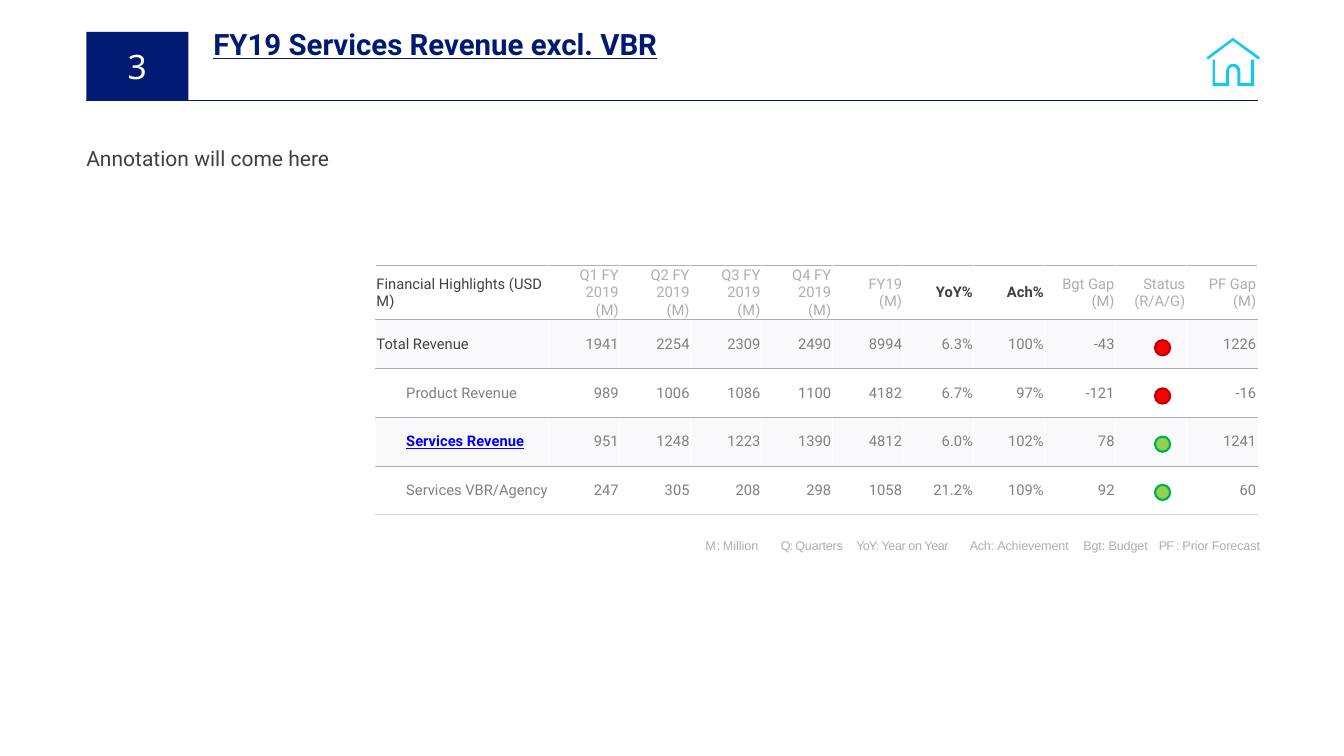
from lxml.etree import SubElement
from pptx import Presentation
from pptx.dml.color import RGBColor
from pptx.enum.shapes import MSO_CONNECTOR as Connector, MSO_SHAPE as Shape
from pptx.enum.text import MSO_ANCHOR as Anchor, MSO_AUTO_SIZE as AutoSize, PP_ALIGN as Align
from pptx.oxml import parse_xml
from pptx.oxml.ns import nsdecls, qn
from pptx.util import Cm, Pt

NAVY, CYAN, WHITE = "001973", "14C9F1", "FFFFFF"
DARK, MID, PALE = "404040", "808080", "ADAEAF"
BAND, FOOT_RULE, LINK = "F9F9FB", "D0D3DA", "0000FF"
RED, GREEN = ("FF0000", "C00000"), ("92D050", "00B050")

HEADINGS = ["Financial Highlights (USD M)", "Q1 FY 2019 (M)", "Q2 FY 2019 (M)",
            "Q3 FY 2019 (M)", "Q4 FY 2019 (M)", "FY19 (M)", "YoY%", "Ach%",
            "Bgt Gap\n(M)", "Status\n(R/A/G)", "PF Gap\n(M)"]
REVENUES = [
    ["Total Revenue", "1941", "2254", "2309", "2490", "8994", "6.3%", "100%", "-43", "", "1226"],
    ["Product Revenue", "989", "1006", "1086", "1100", "4182", "6.7%", "97%", "-121", "", "-16"],
    ["Services Revenue", "951", "1248", "1223", "1390", "4812", "6.0%", "102%", "78", "", "1241"],
    ["Services VBR/Agency", "247", "305", "208", "298", "1058", "21.2%", "109%", "92", "", "60"],
]
STATUSES = [RED, RED, GREEN, GREEN]
ABBREVIATIONS = [("M : ", -1.1, "Million\t", 0), ("Q: ", -1.1, "Quarters \t", -0.2),
                 ("YoY: ", -0.9, "Year on Year \t", -0.4), ("Ach: ", -0.3, "Achievement\t", -0.1),
                 ("Bgt: ", -0.1, "Budget \t", -0.1), ("PF : ", -0.7, "Prior Forecast", -0.1)]
LEGEND_TABS = [2.54, 5.08, 10.16, 15.24, 18.69]

ROOF = [(0, 26), (35, 0), (71, 26), (69, 29), (35, 4), (2, 29)]
WALLS = [(8, 29), (11, 29), (11, 60), (26, 60), (26, 44), (27, 40), (29, 37), (32, 35),
         (39, 35), (42, 37), (44, 40), (45, 44), (45, 60), (59, 60), (59, 29), (63, 29),
         (63, 64), (42, 64), (41, 63), (41, 44), (40, 42), (39, 40), (37, 39), (35, 38),
         (33, 39), (31, 40), (30, 42), (30, 63), (29, 64), (8, 64)]


def rgb(code):
    return RGBColor.from_string(code)


def write(paragraph, text, size=14, color=DARK, font="Roboto", bold=False, underline=False,
          spacing=0, align=Align.LEFT, indent=0, before=0, leading=None):
    paragraph.alignment = align
    paragraph.space_before = Pt(before)
    paragraph.line_spacing = leading
    properties = paragraph._p.get_or_add_pPr()
    properties.set("marL", str(Cm(indent)))
    properties.set("indent", "0")
    run = paragraph.add_run()
    run.text = text
    run.font.size = Pt(size)
    run.font.name = font
    run.font.bold = bold
    run.font.underline = underline
    run.font.color.rgb = rgb(color)
    if spacing:
        run._r.get_or_add_rPr().set("spc", str(round(spacing * 100)))


def set_frame(frame, top=0.03, auto_size=AutoSize.NONE):
    frame.word_wrap = True
    frame.auto_size = auto_size
    frame.vertical_anchor = Anchor.TOP
    frame.margin_left = frame.margin_right = frame.margin_bottom = 0
    frame.margin_top = Cm(top)
    return frame.paragraphs[0]


def paint(shape, fill, line=None, width=2):
    shape.shadow.inherit = False
    shape.fill.solid()
    shape.fill.fore_color.rgb = rgb(fill)
    if line:
        shape.line.color.rgb = rgb(line)
        shape.line.width = Pt(width)
    else:
        shape.line.fill.background()


def add_header(slide, left, top, width, height):
    title = slide.shapes.title
    title.left, title.top = Cm(left + 4.24), Cm(top - 0.23)
    title.width, title.height = Cm(28.37), Cm(1.24)
    write(set_frame(title.text_frame, auto_size=AutoSize.SHAPE_TO_FIT_TEXT),
          "FY19 Services Revenue excl. VBR", size=28, color=NAVY,
          bold=True, underline=True, indent=0.03, before=1)

    add_home(slide, left + width - 1.73, top + 0.2, 1.8)

    bottom = Cm(top + height)
    rule = slide.shapes.add_connector(Connector.STRAIGHT, Cm(left), bottom,
                                      Cm(left + width), bottom)
    rule.line.color.rgb = rgb(NAVY)
    rule.line.width = Pt(0.75)
    SubElement(rule._element.spPr, qn("a:effectLst"))

    number = slide.shapes.add_shape(Shape.RECTANGLE, Cm(left), Cm(top), Cm(3.43), Cm(height))
    paint(number, NAVY)
    write(set_frame(number.text_frame, top=0.46), "3", size=32, color=WHITE,
          font="Noto Sans", spacing=-2, align=Align.CENTER, before=13)


def add_home(slide, left, top, width):
    scale = Cm(width) / 71
    for outline in (ROOF, WALLS):
        builder = slide.shapes.build_freeform(*outline[0], scale=scale)
        builder.add_line_segments(outline[1:], close=True)
        paint(builder.convert_to_shape(Cm(left), Cm(top)), CYAN)


def add_annotation(slide, left, top, width, height):
    annotation = slide.shapes.add_textbox(Cm(left), Cm(top), Cm(width), Cm(height))
    write(set_frame(annotation.text_frame, auto_size=AutoSize.SHAPE_TO_FIT_TEXT),
          "Annotation will come here", size=20, leading=1.5)


def add_legend(slide, left, top, width, height):
    legend = slide.shapes.add_textbox(Cm(left), Cm(top), Cm(width), Cm(height))
    entries = set_frame(legend.text_frame)
    for term, term_spacing, meaning, meaning_spacing in ABBREVIATIONS:
        for text, spacing in ((term, term_spacing), (meaning, meaning_spacing)):
            write(entries, text, size=12, color=PALE, font="Arial", spacing=spacing,
                  align=Align.RIGHT, before=1)
    stops = SubElement(entries._p.get_or_add_pPr(), qn("a:tabLst"))
    for position in LEGEND_TABS:
        SubElement(stops, qn("a:tab"), pos=str(Cm(position)), algn="l")


def set_borders(cell, top, bottom):
    sides = {"L": (WHITE, 1), "R": (WHITE, 1), "T": top, "B": bottom}
    for order, (side, (color, width)) in enumerate(sides.items()):
        border = parse_xml(
            f'<a:ln{side} {nsdecls("a")} w="{Pt(width)}"><a:solidFill>'
            f'<a:srgbClr val="{color}"/></a:solidFill></a:ln{side}>')
        cell._tc.get_or_add_tcPr().insert(order, border)


def cell_format(row, column, text):
    if column == 0:
        main = row < 2
        linked = text == "Services Revenue"
        return dict(color=LINK if linked else DARK if main else MID, bold=linked,
                    underline=linked, indent=0 if main else 1)
    strong = row == 0 and text.endswith("%")
    color = DARK if strong else PALE if row == 0 else MID
    return dict(color=color, bold=strong, align=Align.RIGHT, indent=0.51)


def add_highlights(slide, left, top, label_width, column_width, row_height):
    rows = [HEADINGS] + REVENUES
    last = len(rows) - 1
    width = label_width + column_width * (len(HEADINGS) - 1)
    table = slide.shapes.add_table(len(rows), len(HEADINGS), Cm(left), Cm(top), Cm(width),
                                   Cm(row_height * len(rows))).table
    table.first_row = table.horz_banding = False
    for index, column in enumerate(table.columns):
        column.width = Cm(column_width if index else label_width)
    for r, values in enumerate(rows):
        table.rows[r].height = Cm(row_height)
        for c, value in enumerate(values):
            cell = table.cell(r, c)
            cell.vertical_anchor = Anchor.MIDDLE
            cell.margin_left = cell.margin_right = cell.margin_top = Cm(0.03)
            cell.margin_bottom = 0
            cell.fill.solid()
            cell.fill.fore_color.rgb = rgb(BAND if r % 2 else WHITE)
            set_borders(cell, (PALE, 0.25 if r else 0.5),
                        (FOOT_RULE, 1) if r == last else (PALE, 0.25))
            for index, line in enumerate(value.split("\n") if value else []):
                frame = cell.text_frame
                paragraph = frame.add_paragraph() if index else frame.paragraphs[0]
                write(paragraph, line, **cell_format(r, c, value))


def add_statuses(slide, left, top, size, pitch):
    lights = slide.shapes.add_group_shape()
    for index, (fill, line) in enumerate(STATUSES):
        light = lights.shapes.add_shape(Shape.OVAL, Cm(left), Cm(top + index * pitch),
                                        Cm(size), Cm(size))
        paint(light, fill, line)


def main():
    deck = Presentation()
    deck.slide_width, deck.slide_height = Cm(45.16), Cm(25.4)
    slide = deck.slides.add_slide(deck.slide_layouts[5])
    add_header(slide, 2.9, 1.07, 39.37, 2.31)
    add_annotation(slide, 2.9, 4.45, 32.54, 1.19)
    add_legend(slide, 13.79, 18.06, 28.55, 0.74)
    add_highlights(slide, 12.62, 8.92, 5.82, 2.38, 1.64)
    add_statuses(slide, 38.81, 11.43, 0.51, 1.62)
    deck.save("out.pptx")


if __name__ == "__main__":
    main()
